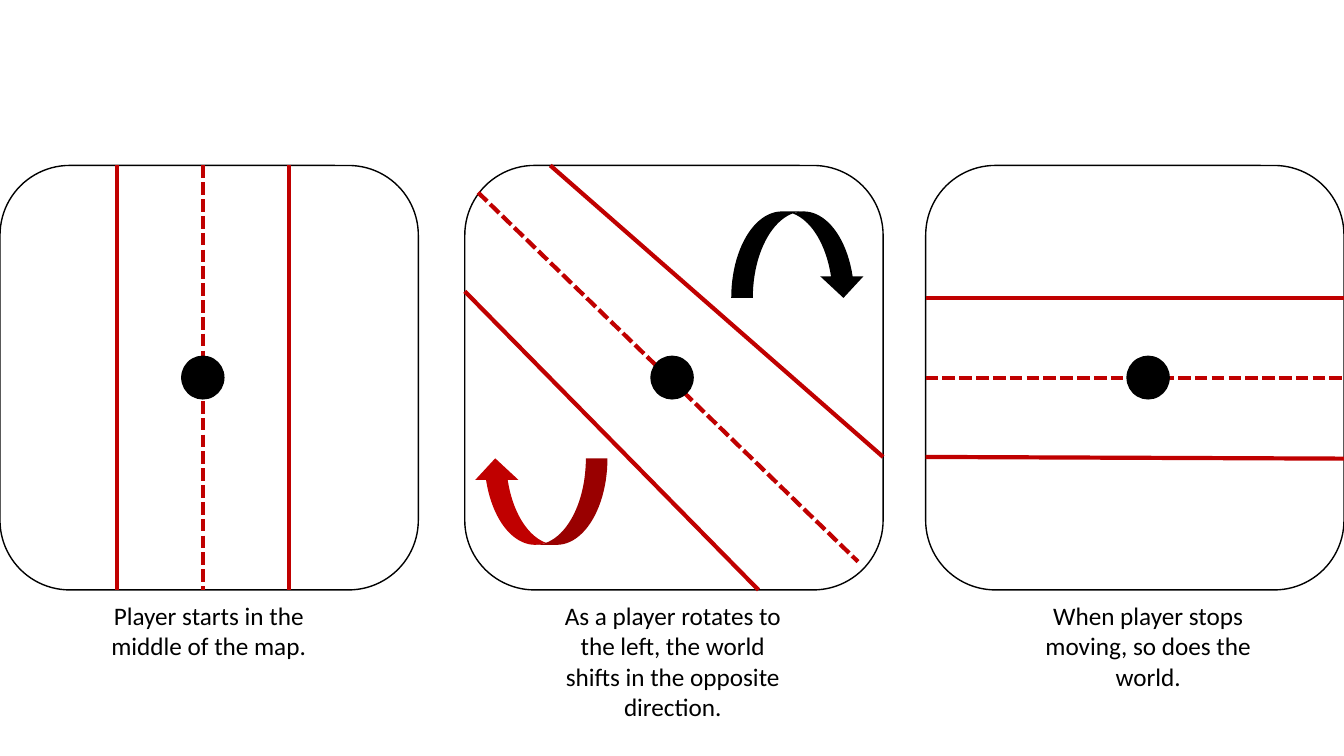
from dataclasses import dataclass
from lxml.etree import SubElement
from pptx import Presentation
from pptx.dml.color import RGBColor
from pptx.enum.dml import MSO_LINE
from pptx.enum.shapes import MSO_CONNECTOR, MSO_SHAPE
from pptx.enum.text import MSO_AUTO_SIZE, PP_ALIGN
from pptx.oxml.ns import qn
from pptx.util import Pt


@dataclass(frozen=True)
class Theme:
    ink: RGBColor = RGBColor(0x00, 0x00, 0x00)
    paper: RGBColor = RGBColor(0xFF, 0xFF, 0xFF)
    road: RGBColor = RGBColor(0xC0, 0x00, 0x00)
    font: str = "Calibri"
    caption_size: int = 18
    outline: int = 1
    road_width: int = 3


theme = Theme()

deck = Presentation()
deck.slide_width, deck.slide_height = Pt(960), Pt(540)
page = deck.slides.add_slide(deck.slide_layouts[6])


def add_figure(kind, left, top, width, height, fill, outlined=False):
    figure = page.shapes.add_shape(kind, Pt(left), Pt(top), Pt(width), Pt(height))
    figure.shadow.inherit = False
    figure.fill.solid()
    figure.fill.fore_color.rgb = fill
    if outlined:
        figure.line.color.rgb = theme.ink
        figure.line.width = Pt(theme.outline)
    else:
        figure.line.fill.background()
    return figure


# Map panels
panel_top, panel_width, panel_height = 118.2, 298.8, 303.2
panel_lefts = [0, 332, 661.2]
for left in panel_lefts:
    add_figure(MSO_SHAPE.ROUNDED_RECTANGLE, left, panel_top, panel_width,
               panel_height, theme.paper, outlined=True)

# Road lines: two solid edges and a dashed centre for each panel
panel_bottom = panel_top + panel_height
middle, right = panel_lefts[1:]
right_end = right + panel_width
roads = [
    [(83.4, panel_top, 83.4, panel_bottom),
     (206.6, panel_top, 206.6, panel_bottom),
     (144.9, panel_top, 144.9, panel_bottom)],
    [(middle, 208.1, 541.8, panel_bottom),
     (393.1, panel_top, middle + panel_width, 326.4),
     (341.5, 137.5, 612.9, 401.2)],
    [(right, 326.4, right_end, 327.6),
     (right, 212.6, right_end, 212.6),
     (right, 270, right_end, 270)],
]
for road in roads:
    for ends, dash in zip(road, (None, None, MSO_LINE.SQUARE_DOT)):
        stripe = page.shapes.add_connector(
            MSO_CONNECTOR.STRAIGHT, *[Pt(value) for value in ends])
        stripe.line.color.rgb = theme.road
        stripe.line.width = Pt(theme.road_width)
        stripe.line.dash_style = dash
        SubElement(stripe.element.spPr, qn("a:effectLst"))

# Players
for left in (129.4, 464.6, 804.6):
    add_figure(MSO_SHAPE.OVAL, left, 254, 31, 31.4, theme.ink)

# Captions
captions = [
    ("Player starts in the middle of the map.", 63.4, 171.4, 51),
    ("As a player rotates to the left, the world shifts in the opposite direction.",
     391.7, 177.8, 94.4),
    ("When player stops moving, so does the world.", 734.4, 171.4, 72.8),
]
for text, left, width, height in captions:
    box = page.shapes.add_textbox(Pt(left), Pt(425.4), Pt(width), Pt(height))
    box.text_frame.word_wrap = True
    box.text_frame.auto_size = MSO_AUTO_SIZE.SHAPE_TO_FIT_TEXT
    para = box.text_frame.paragraphs[0]
    para.alignment = PP_ALIGN.CENTER
    span = para.add_run()
    span.text = text
    span.font.name = theme.font
    span.font.size = Pt(theme.caption_size)
    span.font.color.rgb = theme.ink

# Rotation arrows: the player turns one way, the world the other
for left, top, turn, colour in ((539.2, 134.1, 270, theme.ink),
                                (355.2, 310.5, 90, theme.road)):
    arrow = add_figure(MSO_SHAPE.CURVED_LEFT_ARROW, left, top, 61.8, 95.6, colour)
    arrow.rotation = turn

deck.save("out.pptx")
